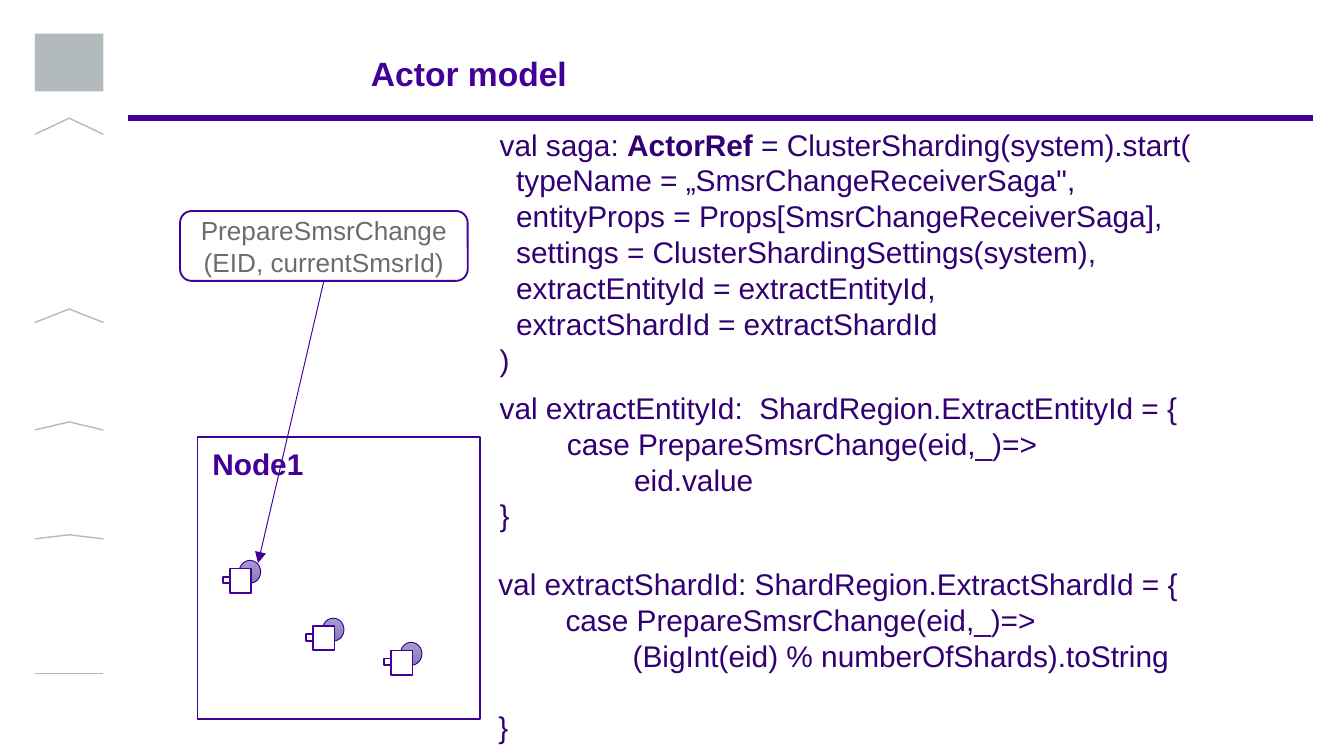
from lxml import etree
from pptx import Presentation
from pptx.dml.color import RGBColor
from pptx.enum.shapes import MSO_CONNECTOR, MSO_SHAPE
from pptx.enum.text import MSO_ANCHOR, MSO_AUTO_SIZE, PP_ALIGN
from pptx.oxml.ns import qn
from pptx.util import Inches, Pt

RECT, ROUNDED, OVAL = MSO_SHAPE.RECTANGLE, MSO_SHAPE.ROUNDED_RECTANGLE, MSO_SHAPE.OVAL
STRAIGHT = MSO_CONNECTOR.STRAIGHT
TOP, MIDDLE = MSO_ANCHOR.TOP, MSO_ANCHOR.MIDDLE
LEFT, CENTER = PP_ALIGN.LEFT, PP_ALIGN.CENTER
FIXED = MSO_AUTO_SIZE.NONE
FONT = "Arial"
TITLE_ONLY = 5
TAB_STEP = 0.5
COLORS = {
    "purple": "430099", "code": "320073", "gray": "6C6D6B", "silver": "B3BABE",
    "white": "FFFFFF", "lilac": "A59DCA", "violet": "877CB8",
}

SAGA_CODE = [
    [("val saga: ", False), ("ActorRef", True),
     (" = ClusterSharding(system).start(", False)],
    "  typeName = „SmsrChangeReceiverSaga\",",
    "  entityProps = Props[SmsrChangeReceiverSaga],",
    "  settings = ClusterShardingSettings(system),",
    "  extractEntityId = extractEntityId,",
    "  extractShardId = extractShardId",
    ")",
]
ENTITY_CODE = [
    "val extractEntityId:  ShardRegion.ExtractEntityId = {",
    "\tcase PrepareSmsrChange(eid,_)=>",
    "\t\teid.value",
    "}",
]
SHARD_CODE = [
    "val extractShardId: ShardRegion.ExtractShardId = {",
    "\tcase PrepareSmsrChange(eid,_)=>",
    "\t\t(BigInt(eid) % numberOfShards).toString",
    "}",
]


def rgb(name):
    return RGBColor.from_string(COLORS[name])


def write(frame, lines, size, color, bold=False, align=LEFT, anchor=TOP,
          insets=(0.1, 0.05), spacing=None, tabs=0, last_gap=0):
    """Fill a text frame; a line is a string or a list of (text, bold) runs."""
    frame.word_wrap = True
    frame.auto_size = FIXED
    frame.vertical_anchor = anchor
    frame.margin_left = frame.margin_right = Inches(insets[0])
    frame.margin_top = frame.margin_bottom = Inches(insets[1])
    for i, line in enumerate(lines):
        paragraph = frame.paragraphs[0] if i == 0 else frame.add_paragraph()
        paragraph.alignment = align
        if spacing:
            paragraph.line_spacing = spacing
        if last_gap and i == len(lines) - 1:
            paragraph.space_before = Pt(last_gap)
        if tabs:
            stops = etree.SubElement(paragraph._p.get_or_add_pPr(), qn("a:tabLst"))
            for n in range(1, tabs + 1):
                etree.SubElement(stops, qn("a:tab"),
                                 pos=str(Inches(n * TAB_STEP)), algn="l")
        for text, strong in [(line, bold)] if isinstance(line, str) else line:
            run = paragraph.add_run()
            run.text = text
            run.font.name, run.font.size, run.font.bold = FONT, Pt(size), strong
            run.font.color.rgb = rgb(color)


def add_text(slide, box, lines, **style):
    frame = slide.shapes.add_textbox(*map(Inches, box)).text_frame
    write(frame, lines, **style)


def add_box(slide, kind, box, width=1):
    shape = slide.shapes.add_shape(kind, *map(Inches, box))
    shape.shadow.inherit = False
    shape.fill.solid()
    shape.fill.fore_color.rgb = rgb("white")
    shape.line.color.rgb = rgb("purple")
    shape.line.width = Pt(width)
    return shape


def add_line(slide, start, end, width, arrow=False):
    line = slide.shapes.add_connector(STRAIGHT, *map(Inches, start + end))
    line.line.color.rgb = rgb("purple")
    line.line.width = Pt(width)
    if arrow:
        etree.SubElement(line.line._get_or_add_ln(), qn("a:tailEnd"), type="triangle")
    etree.SubElement(line._element.spPr, qn("a:effectLst"))


def add_sidebar(slide, left, top, width):
    # Plain block at the head of the sidebar
    emblem = add_box(slide, RECT, (left, top, width, 0.43))
    emblem.fill.fore_color.rgb = rgb("silver")
    emblem.line.fill.background()

    # Carets that flatten down the page: (base offset, rise)
    carets = [(0.75, 0.12), (2.15, 0.1), (2.95, 0.06), (3.76, 0.03), (4.76, 0)]
    outline = None
    for base, rise in carets:
        start = Inches(left), Inches(top + base)
        if outline is None:
            outline = slide.shapes.build_freeform(*start, scale=1.0)
        else:
            outline.move_to(*start)
        outline.add_line_segments(
            [(Inches(left + width / 2), Inches(top + base - rise)),
             (Inches(left + width), Inches(top + base))], close=False)
    shape = outline.convert_to_shape()
    shape.shadow.inherit = False
    shape.fill.background()
    shape.line.color.rgb = rgb("silver")
    shape.line.width = Pt(0.75)


def add_header(slide, left, top, width):
    add_line(slide, (left, top + 0.55), (left + width, top + 0.55), 3)
    title = slide.shapes.title
    title.left, title.top = Inches(left + 1.77), Inches(top)
    title.width, title.height = Inches(8), Inches(0.47)
    write(title.text_frame, ["Actor model"], size=18, color="purple", bold=True,
          anchor=MIDDLE, insets=(0.04, 0), spacing=0.9)


def add_actor(slide, left, top):
    ball = add_box(slide, OVAL, (left + 0.12, top, 0.16, 0.17), 0.5)
    ball.fill.gradient()
    ball.fill.gradient_angle = 270
    for stop, color in zip(ball.fill.gradient_stops, ("lilac", "violet")):
        stop.color.rgb = rgb(color)
    add_box(slide, RECT, (left + 0.05, top + 0.06, 0.16, 0.18))
    add_box(slide, RECT, (left, top + 0.12, 0.05, 0.05))


def add_node(slide, left, top, size):
    add_box(slide, RECT, (left, top, size, size))
    add_text(slide, (left + 0.07, top - 0.02, 0.92, 0.47), ["Node1"], size=16,
             color="purple", bold=True, anchor=MIDDLE, insets=(0.04, 0), spacing=0.9)
    for dx, dy in [(0.19, 0.92), (1.39, 1.53), (0.81, 1.35)]:
        add_actor(slide, left + dx, top + dy)


def add_message(slide, left, top, width, height, target):
    bubble = add_box(slide, ROUNDED, (left, top, width, height))
    write(bubble.text_frame, ["PrepareSmsrChange", "(EID, currentSmsrId)"],
          size=14, color="gray", align=CENTER, anchor=MIDDLE)
    add_line(slide, (left + width / 2, top + height), target, 0.5, arrow=True)


def add_code(slide, left, top, width):
    style = {"size": 16, "color": "code"}
    add_text(slide, (left, top, width, 1.99), SAGA_CODE, **style)
    add_text(slide, (left, top + 1.96, width, 1.18), ENTITY_CODE, tabs=2, **style)
    # The closing brace stands one line lower
    add_text(slide, (left - 0.01, top + 3.27, width, 1.45), SHARD_CODE, tabs=2,
             last_gap=19, **style)


def main():
    deck = Presentation()
    deck.slide_width = Inches(10)
    deck.slide_height = deck.slide_width * 9 // 16
    slide = deck.slides.add_slide(deck.slide_layouts[TITLE_ONLY])
    add_sidebar(slide, 0.26, 0.25, 0.51)
    add_header(slide, 0.95, 0.33, 8.82)
    add_node(slide, 1.47, 3.25, 2.1)
    add_message(slide, 1.34, 1.57, 2.14, 0.52, target=(1.92, 4.19))
    add_code(slide, 3.62, 0.89, 6.2)
    deck.save("out.pptx")


if __name__ == "__main__":
    main()
